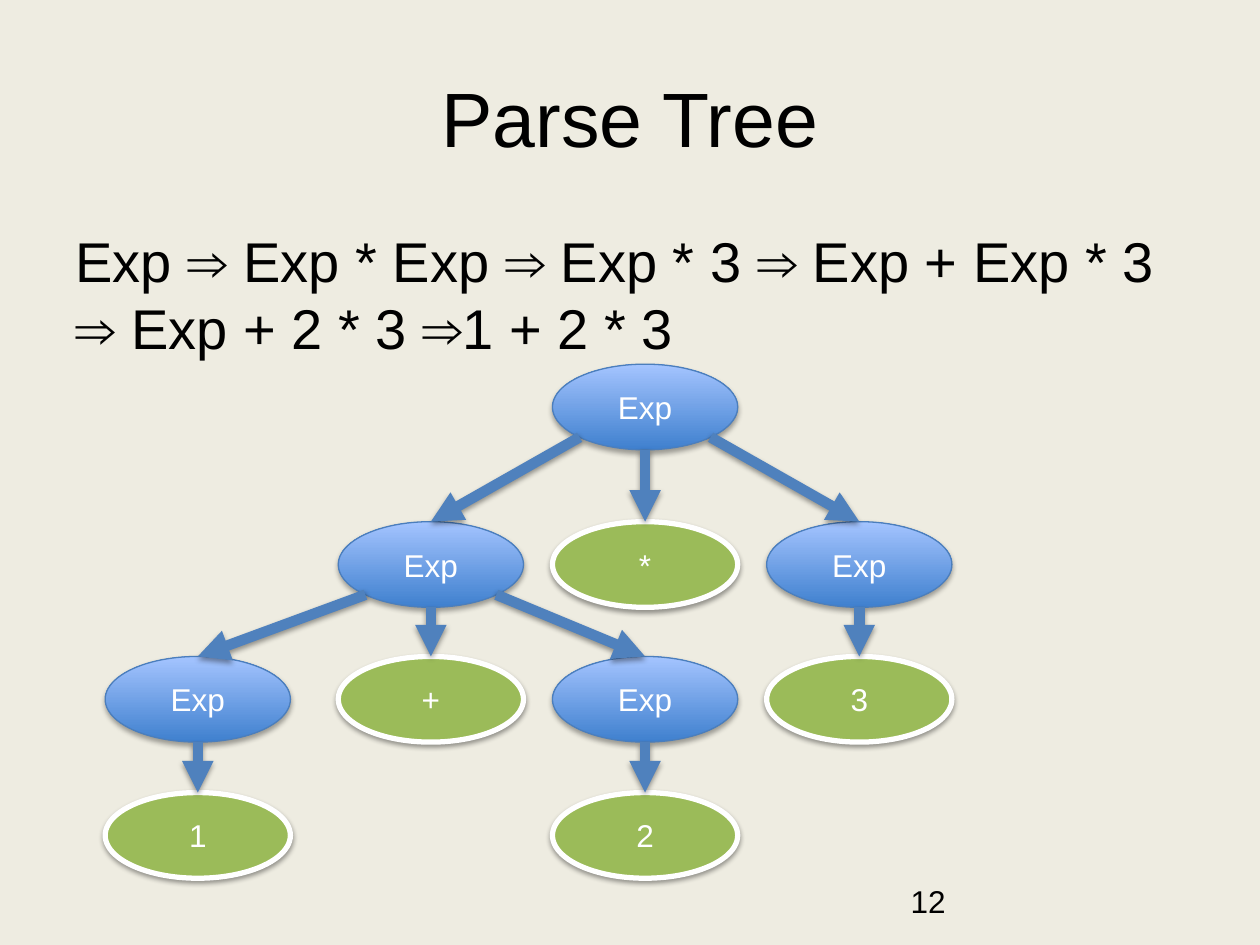
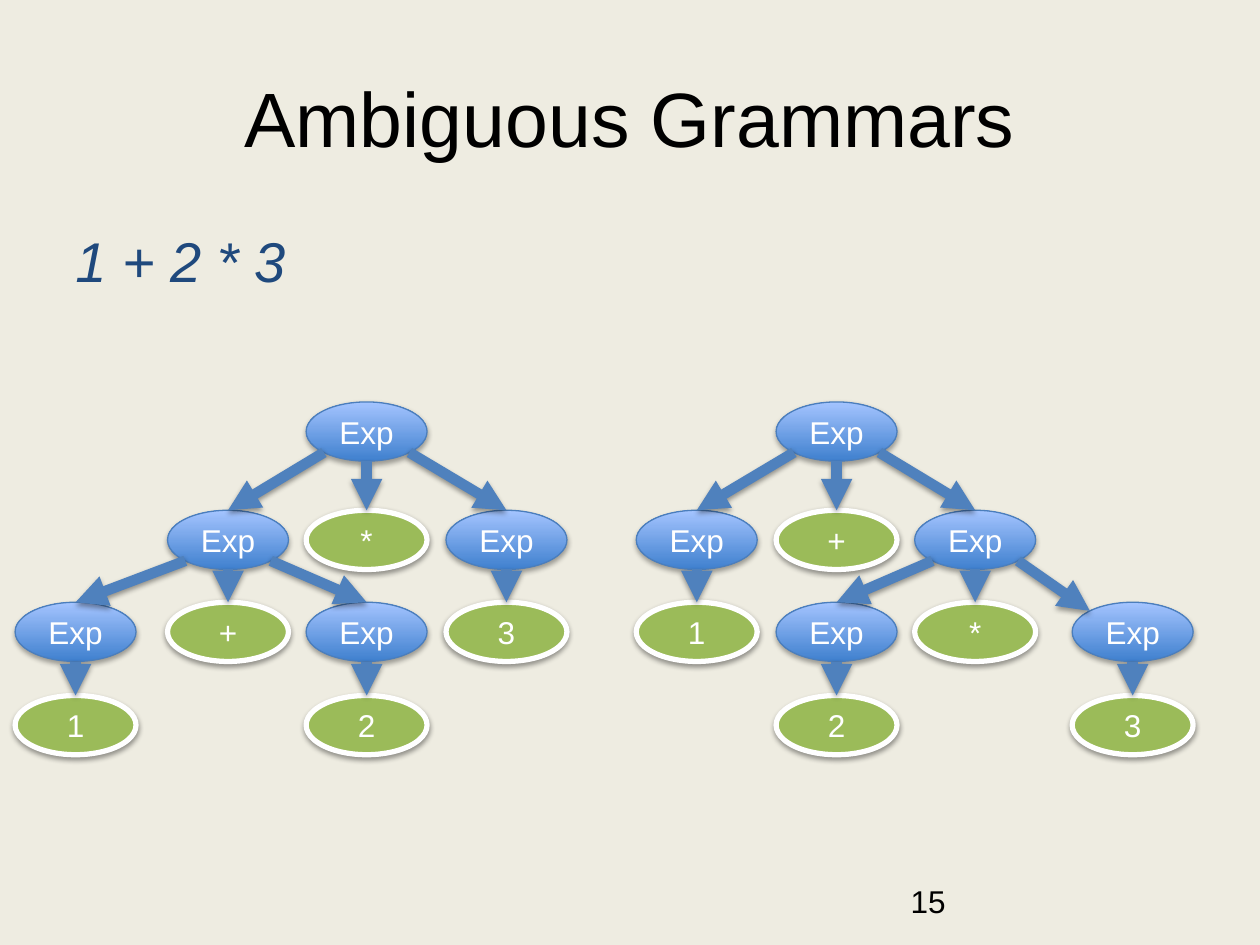
from dataclasses import dataclass
from math import sqrt

from lxml.etree import SubElement
from pptx import Presentation
from pptx.dml.color import RGBColor
from pptx.enum.shapes import MSO_CONNECTOR, MSO_SHAPE
from pptx.enum.text import MSO_ANCHOR, MSO_AUTO_SIZE, PP_ALIGN
from pptx.oxml.ns import qn
from pptx.util import Inches, Pt


@dataclass(frozen=True)
class Theme:
    font: str = "Arial"
    title_size: int = 44
    body_size: int = 32
    label_size: int = 18
    background: str = "EEECE1"
    text: str = "000000"
    accent_text: str = "1F497D"
    node_text: str = "FFFFFF"
    symbol_bottom: str = "3F80CE"
    symbol_top: str = "A4C4FF"
    symbol_line: str = "4B7EBC"
    token_fill: str = "9BBB59"
    token_line: str = "FFFFFF"
    arrow: str = "4F81BD"


@dataclass(frozen=True)
class Shadow:
    opacity: int
    distance: float
    blur: float = 3.1
    direction: int = 90


@dataclass(frozen=True)
class Node:
    text: str
    column: int
    children: tuple = ()
    entry_site: int = 0


@dataclass(frozen=True)
class Grid:
    centers: tuple
    tops: tuple
    width: float
    height: float


THEME = Theme()
SYMBOL_SHADOW = Shadow(opacity=35, distance=1.8)
PLAIN_SHADOW = Shadow(opacity=38, distance=1.6)

TOP, TOP_LEFT, BOTTOM_LEFT, BOTTOM, BOTTOM_RIGHT = 0, 1, 3, 4, 5
DIAGONAL = sqrt(0.5)
SITE_DIRECTIONS = {
    TOP: (0, -1),
    TOP_LEFT: (-DIAGONAL, -DIAGONAL),
    BOTTOM_LEFT: (-DIAGONAL, DIAGONAL),
    BOTTOM: (0, 1),
    BOTTOM_RIGHT: (DIAGONAL, DIAGONAL),
}


def color(value):
    return RGBColor.from_string(value)


def set_attributes(target, values):
    for name, value in values.items():
        setattr(target, name, value)


def write_text(shape, text, size, text_color, italic=None, alignment=None, space_before=None):
    paragraph = shape.text_frame.paragraphs[0]
    set_attributes(paragraph, {"alignment": alignment, "space_before": space_before})
    run = paragraph.add_run()
    run.text = text
    set_attributes(run.font, {"name": THEME.font, "size": Pt(size), "italic": italic})
    run.font.color.rgb = color(text_color)


def add_text(slide, box, text, size, text_color=THEME.text, **formatting):
    shape = slide.shapes.add_textbox(*map(Inches, box))
    shape.text_frame.word_wrap = True
    write_text(shape, text, size, text_color, **formatting)


def add_slide(presentation, title, number):
    slide = presentation.slides.add_slide(presentation.slide_layouts[5])
    placeholder = slide.shapes.title
    set_attributes(placeholder, {
        "left": Inches(0.5), "top": Inches(0.3), "width": Inches(9), "height": Inches(1.25),
    })
    set_attributes(placeholder.text_frame, {
        "vertical_anchor": MSO_ANCHOR.MIDDLE, "auto_size": MSO_AUTO_SIZE.NONE,
    })
    write_text(placeholder, title, THEME.title_size, THEME.text, alignment=PP_ALIGN.CENTER)
    add_text(slide, (7.13, 6.95, 2.33, 0.4), number, THEME.label_size)
    return slide


def add_body(slide, text, text_color=THEME.text, italic=None):
    add_text(slide, (0.5, 1.75, 9, 1.14), text, THEME.body_size, text_color,
             italic=italic, space_before=Pt(3))


def add_shadow(shape, shadow):
    effects = SubElement(shape._element.spPr, qn("a:effectLst"))
    outer = SubElement(effects, qn("a:outerShdw"), {
        "blurRad": str(Pt(shadow.blur)),
        "dist": str(Pt(shadow.distance)),
        "dir": str(shadow.direction * 60000),
        "rotWithShape": "0",
    })
    black = SubElement(outer, qn("a:srgbClr"), val="000000")
    SubElement(black, qn("a:alpha"), val=str(shadow.opacity * 1000))


def format_line(shape, line_color, width):
    shape.line.color.rgb = color(line_color)
    shape.line.width = Pt(width)


def add_node(shapes, node, grid, row):
    left = grid.centers[node.column] - grid.width / 2
    box = (left, grid.tops[row], grid.width, grid.height)
    shape = shapes.add_shape(MSO_SHAPE.OVAL, *map(Inches, box))
    if node.children:
        shape.fill.gradient()
        shape.fill.gradient_angle = 90
        for stop, value in zip(shape.fill.gradient_stops, (THEME.symbol_bottom, THEME.symbol_top)):
            stop.color.rgb = color(value)
        format_line(shape, THEME.symbol_line, 0.75)
        add_shadow(shape, SYMBOL_SHADOW)
    else:
        shape.fill.solid()
        shape.fill.fore_color.rgb = color(THEME.token_fill)
        format_line(shape, THEME.token_line, 3)
        add_shadow(shape, PLAIN_SHADOW)
    write_text(shape, node.text, THEME.label_size, THEME.node_text, alignment=PP_ALIGN.CENTER)
    return shape


def site_point(shape, site):
    across, down = SITE_DIRECTIONS[site]
    return (int(shape.left + shape.width * (1 + across) / 2),
            int(shape.top + shape.height * (1 + down) / 2))


def add_arrow(shapes, parent, exit_site, child, entry_site):
    connector = shapes.add_connector(
        MSO_CONNECTOR.STRAIGHT, *site_point(parent, exit_site), *site_point(child, entry_site))
    format_line(connector, THEME.arrow, 6)
    SubElement(connector.line._get_or_add_ln(), qn("a:tailEnd"), type="triangle")
    add_shadow(connector, PLAIN_SHADOW)
    joints = connector._element.nvCxnSpPr.cNvCxnSpPr
    for tag, shape, site in (("a:stCxn", parent, exit_site), ("a:endCxn", child, entry_site)):
        SubElement(joints, qn(tag), id=str(shape.shape_id), idx=str(site))


def exit_site_toward(parent, child):
    if child.column == parent.column:
        return BOTTOM
    return BOTTOM_LEFT if child.column < parent.column else BOTTOM_RIGHT


def add_branch(shapes, node, grid, row, arrows):
    shape = add_node(shapes, node, grid, row)
    for child in node.children:
        child_shape = add_branch(shapes, child, grid, row + 1, arrows)
        arrows.append((shape, exit_site_toward(node, child), child_shape, child.entry_site))
    return shape


def add_tree(shapes, root, grid):
    arrows = []
    add_branch(shapes, root, grid, 0, arrows)
    for arrow in arrows:
        add_arrow(shapes, *arrow)


def number_expression(digit, column, entry_site=TOP):
    return Node("Exp", column, (Node(digit, column),), entry_site)


def operation(column, left, operator, right):
    return Node("Exp", column, (left, Node(operator, column), right))


def main():
    presentation = Presentation()
    set_attributes(presentation, {"slide_width": Inches(10), "slide_height": Inches(7.5)})
    background = presentation.slide_master.background.fill
    background.solid()
    background.fore_color.rgb = color(THEME.background)

    sum_first = operation(
        2,
        operation(1, number_expression("1", 0), "+", number_expression("2", 2)),
        "*",
        number_expression("3", 3),
    )
    product_first = operation(
        1,
        number_expression("1", 0),
        "+",
        operation(2, number_expression("2", 1), "*", number_expression("3", 3, TOP_LEFT)),
    )

    parse_slide = add_slide(presentation, "Parse Tree", "12")
    add_body(parse_slide, "Exp ⇒ Exp * Exp ⇒ Exp * 3 ⇒ Exp + Exp * 3 ⇒ Exp + 2 * 3 ⇒1 + 2 * 3")
    large_grid = Grid((1.57, 3.42, 5.12, 6.82), (2.89, 4.14, 5.21, 6.29), 1.47, 0.68)
    add_tree(parse_slide.shapes, sum_first, large_grid)

    ambiguous_slide = add_slide(presentation, "Ambiguous Grammars", "15")
    add_body(ambiguous_slide, "1 + 2 * 3", THEME.accent_text, italic=True)
    small_tops = (3.19, 4.05, 4.78, 5.52)
    left_grid = Grid((0.6, 1.81, 2.91, 4.02), small_tops, 0.96, 0.47)
    right_grid = Grid((5.53, 6.64, 7.74, 8.99), small_tops, 0.96, 0.47)
    add_tree(ambiguous_slide.shapes.add_group_shape().shapes, sum_first, left_grid)
    add_tree(ambiguous_slide.shapes, product_first, right_grid)

    presentation.save("out.pptx")


if __name__ == "__main__":
    main()
